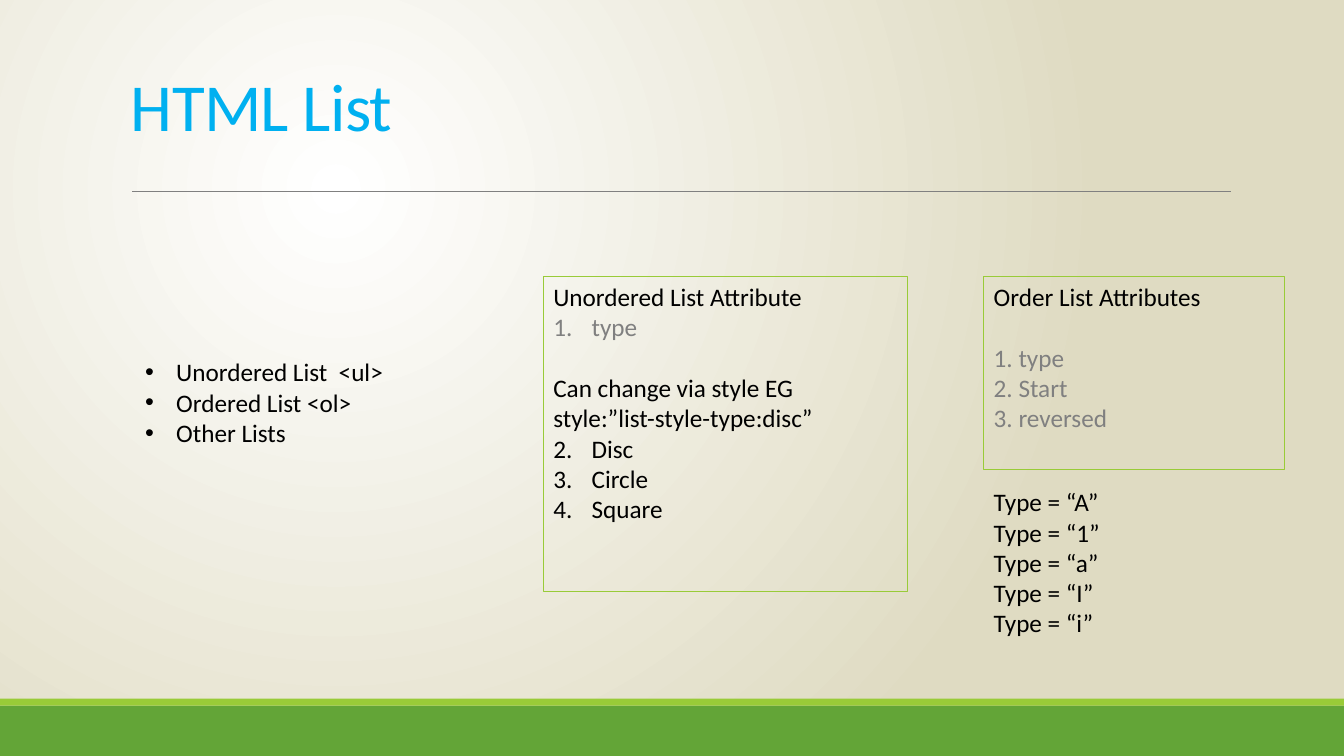
from dataclasses import dataclass

from lxml import etree
from pptx import Presentation
from pptx.dml.color import RGBColor
from pptx.enum.shapes import MSO_CONNECTOR, MSO_SHAPE
from pptx.enum.text import MSO_ANCHOR, MSO_AUTO_SIZE, PP_ALIGN
from pptx.oxml.ns import qn
from pptx.util import Inches, Pt

RECT = MSO_SHAPE.RECTANGLE
STRAIGHT = MSO_CONNECTOR.STRAIGHT
TOP, BOTTOM = MSO_ANCHOR.TOP, MSO_ANCHOR.BOTTOM
GROW = MSO_AUTO_SIZE.SHAPE_TO_FIT_TEXT
LEFT = PP_ALIGN.LEFT

WHITE = RGBColor(0xFF, 0xFF, 0xFF)
SAND = RGBColor(0xDF, 0xDB, 0xC2)
GREEN = RGBColor(0x63, 0xA5, 0x37)
LIME = RGBColor(0x99, 0xCB, 0x38)
GREY = RGBColor(0x80, 0x80, 0x80)
BLACK = RGBColor(0, 0, 0)
BLUE = RGBColor(0x00, 0xB0, 0xF0)

FONT = "Calibri"
SIZE = 18
GAP = 22
WIDE, HIGH = Inches(13.33), Inches(7.5)


@dataclass
class Area:
    left: float
    top: float
    width: float
    height: float

    def box(self) -> tuple[int, int, int, int]:
        return (across(self.left), down(self.top),
                across(self.width), down(self.height))


@dataclass
class Line:
    text: str
    hue: RGBColor = BLACK
    mark: str = ""
    start: int = 1
    gap: int = 0
    size: int = SIZE


@dataclass
class Block:
    area: Area
    lines: list[Line]
    framed: bool = False
    wrap: bool = True


def across(share: float) -> int:
    return int(WIDE * share / 100)


def down(share: float) -> int:
    return int(HIGH * share / 100)


def set_mark(para, line: Line) -> None:
    props = para._p.get_or_add_pPr()
    indent = Inches(0.31 if line.mark == "dot" else 0.38)
    props.set("marL", str(indent))
    props.set("indent", str(-indent))
    if line.mark == "dot":
        etree.SubElement(props, qn("a:buFont"), typeface="Arial")
        etree.SubElement(props, qn("a:buChar"), char="•")
    else:
        etree.SubElement(props, qn("a:buAutoNum"), type="arabicPeriod",
                         startAt=str(line.start))


def write(frame, lines: list[Line]) -> None:
    frame.text = "\n".join(line.text for line in lines)
    for para, line in zip(frame.paragraphs, lines):
        para.alignment = LEFT
        if line.gap:
            para.space_before = Pt(line.gap)
        if line.mark:
            set_mark(para, line)
        for run in para.runs:
            run.font.name = FONT
            run.font.size = Pt(line.size)
            run.font.color.rgb = line.hue


def draw_band(slide, area: Area, hue: RGBColor) -> None:
    band = slide.shapes.add_shape(RECT, *area.box())
    band.shadow.inherit = False
    band.fill.solid()
    band.fill.fore_color.rgb = hue
    band.line.fill.background()


def draw_block(slide, block: Block) -> None:
    if block.framed:
        shape = slide.shapes.add_shape(RECT, *block.area.box())
        shape.shadow.inherit = False
        shape.fill.background()
        shape.line.color.rgb = LIME
        shape.line.width = Pt(0.75)
    else:
        shape = slide.shapes.add_textbox(*block.area.box())
        shape.text_frame.auto_size = GROW
    frame = shape.text_frame
    frame.word_wrap = block.wrap
    frame.vertical_anchor = TOP
    write(frame, block.lines)


def draw_title(slide) -> None:
    frame = slide.shapes.add_textbox(*Area(9, 5.6, 82.5, 14.27).box()).text_frame
    frame.word_wrap = True
    frame.vertical_anchor = BOTTOM
    write(frame, [Line("HTML List", BLUE, size=48)])
    para = frame.paragraphs[0]
    para.line_spacing = 0.85
    para.runs[0]._r.get_or_add_rPr().set("spc", "-50")


def draw_rule(slide) -> None:
    rule = slide.shapes.add_connector(STRAIGHT, across(9.83), down(25.3),
                                      across(91.6), down(25.3))
    rule.line.color.rgb = GREY
    rule.line.width = Pt(0.5)
    etree.SubElement(rule._element.spPr, qn("a:effectLst"))


def paint_back(slide) -> None:
    fill = slide.background.fill
    fill.gradient()
    for stop, hue in zip(fill.gradient_stops, (WHITE, SAND)):
        stop.color.rgb = hue
    grad = next(slide.element.iter(qn("a:gradFill")))
    grad.remove(grad.find(qn("a:lin")))
    glow = etree.Element(qn("a:path"), path="circle")
    etree.SubElement(glow, qn("a:fillToRect"), l="50000", t="50000",
                     r="100000", b="100000")
    grad.find(qn("a:gsLst")).addnext(glow)


KINDS = Block(Area(10.05, 46.53, 21.45, 13.47), [
    Line(text, mark="dot")
    for text in ("Unordered List  <ul>", "Ordered List <ol>", "Other Lists")])

ORDER = Block(Area(73.2, 36.53, 22.35, 25.6), [
    Line("Order List Attributes"),
    Line("1. type", GREY, gap=GAP),
    Line("2. Start", GREY),
    Line("3. reversed", GREY)], framed=True)

TYPES = Block(Area(73.2, 63.73, 9.53, 25.6),
              [Line(f"Type = “{sign}”") for sign in "A1aIi"], wrap=False)

LOOSE = Block(Area(40.43, 36.53, 27.08, 41.73), [
    Line("Unordered List Attribute"),
    Line("type", GREY, "number"),
    Line("Can change via style EG", gap=GAP),
    Line("style:”list-style-type:disc”"),
    *(Line(text, mark="number", start=2)
      for text in ("Disc", "Circle", "Square"))], framed=True)

deck = Presentation()
deck.slide_width, deck.slide_height = WIDE, HIGH
page = deck.slides.add_slide(deck.slide_layouts[6])
paint_back(page)
draw_band(page, Area(0, 93.33, 100, 6.67), GREEN)
draw_band(page, Area(0, 92.4, 100, 0.93), LIME)
draw_rule(page)
draw_title(page)
for item in (KINDS, ORDER, TYPES, LOOSE):
    draw_block(page, item)
deck.save("out.pptx")
